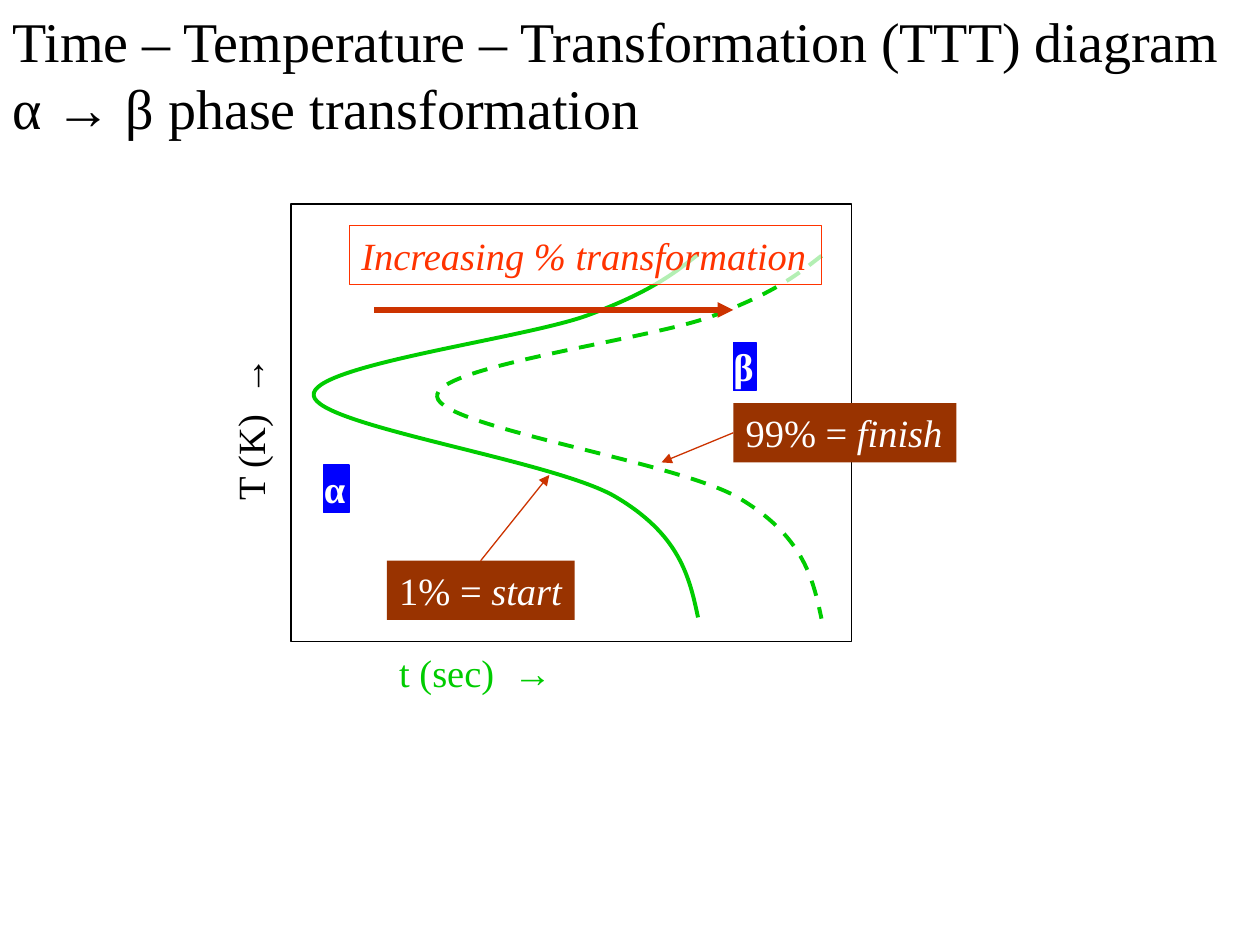
"""Build a slide with a time-temperature-transformation diagram."""
from lxml.etree import SubElement
from pptx import Presentation
from pptx.dml.color import RGBColor
from pptx.enum.dml import MSO_LINE
from pptx.enum.shapes import MSO_CONNECTOR, MSO_SHAPE
from pptx.enum.text import MSO_ANCHOR, MSO_AUTO_SIZE, PP_ALIGN
from pptx.oxml.ns import qn
from pptx.util import Inches, Pt

COLORS = {
    "black": "000000", "white": "FFFFFF", "curve": "00CC00", "callout": "993300",
    "arrow": "CC3300", "trend": "FF3300", "phase": "0000FF",
}
FONT = "Times New Roman"
START_CURVE = [
    (5.54, 2.02),
    (5.36, 2.16), (5.18, 2.31), (4.67, 2.5),
    (4.16, 2.69), (2.45, 2.9), (2.49, 3.14),
    (2.52, 3.38), (4.38, 3.65), (4.88, 3.94),
    (5.39, 4.24), (5.47, 4.57), (5.54, 4.9),
]
FINISH_SHIFT = (0.98, 0.01)


def rgb(name):
    return RGBColor.from_string(COLORS[name])


def set_line(line, color, width):
    line.color.rgb = rgb(color)
    line.width = Pt(width)


def write(shape, runs, color, size=22, bold=None, italic=None, wrap=False, inset=None):
    """Fill a shape with one left-aligned paragraph of (text, italic) runs."""
    frame = shape.text_frame
    frame.word_wrap = wrap
    frame.auto_size = MSO_AUTO_SIZE.SHAPE_TO_FIT_TEXT
    frame.vertical_anchor = MSO_ANCHOR.TOP
    if inset is not None:
        frame.margin_left = frame.margin_right = Inches(inset)
        frame.margin_top = frame.margin_bottom = Inches(inset)
    paragraph = frame.paragraphs[0]
    paragraph.alignment = PP_ALIGN.LEFT
    font = paragraph.font
    font.name, font.size, font.bold, font.italic = FONT, Pt(size), bold, italic
    font.color.rgb = rgb(color)
    for text, slanted in runs:
        run = paragraph.add_run()
        run.text = text
        if slanted:
            run.font.italic = True


def add_label(slide, box, text, color, size=22, rotation=0, wrap=False):
    label = slide.shapes.add_textbox(*map(Inches, box))
    label.rotation = rotation
    write(label, [(text, False)], color, size, wrap=wrap)


def add_box(slide, box, fill, line=None, width=0.75, opacity=None):
    """Add a rectangle, optionally outlined or see-through."""
    rect = slide.shapes.add_shape(MSO_SHAPE.RECTANGLE, *map(Inches, box))
    rect.shadow.inherit = False
    rect.fill.solid()
    rect.fill.fore_color.rgb = rgb(fill)
    if opacity is not None:
        fill_color = rect.element.spPr.find(qn("a:solidFill"))[0]
        SubElement(fill_color, qn("a:alpha"), val=str(opacity * 1000))
    if line:
        set_line(rect.line, line, width)
    else:
        rect.line.fill.background()
    return rect


def add_phase(slide, box, letter):
    phase = add_box(slide, box, "phase", "phase")
    write(phase, [(letter, False)], "white", bold=True, inset=0)


def add_curve(slide, points, dash=None):
    """Draw an open Bezier curve from a start point and triples of controls."""
    start, *controls = [(Inches(x), Inches(y)) for x, y in points]
    builder = slide.shapes.build_freeform(*start)
    builder.add_line_segments(controls, close=False)
    curve = builder.convert_to_shape()
    curve.shadow.inherit = False
    curve.fill.background()
    set_line(curve.line, "curve", 2.25)
    if dash:
        curve.line.dash_style = dash
    outline = next(curve.element.iter(qn("a:path")))
    segments = outline.findall(qn("a:lnTo"))
    for first in range(0, len(segments), 3):
        bezier = SubElement(outline, qn("a:cubicBezTo"))
        for segment in segments[first:first + 3]:
            bezier.append(segment[0])
            outline.remove(segment)


def add_arrow(slide, start, end, width=0.75):
    arrow = slide.shapes.add_connector(
        MSO_CONNECTOR.STRAIGHT, *map(Inches, (*start, *end)))
    set_line(arrow.line, "arrow", width)
    SubElement(arrow.line._get_or_add_ln(), qn("a:tailEnd"), type="triangle")
    SubElement(arrow.element.spPr, qn("a:effectLst"))
    return arrow


def add_callout(slide, box, percent, stage, side, start, target):
    """Add a filled callout and an arrow from one of its sides to a curve."""
    callout = add_box(slide, box, "callout")
    write(callout, [(percent, False), (stage, True)], "white")
    add_arrow(slide, start, target).begin_connect(callout, side)


def main():
    prs = Presentation()
    prs.slide_width, prs.slide_height = Inches(10), Inches(7.5)
    slide = prs.slides.add_slide(prs.slide_layouts[6])

    add_box(slide, (2.31, 1.62, 4.45, 3.47), "white", "black")
    add_label(slide, (3.07, 5.1, 1.41, 0.47), "t (sec)  →", "curve")
    add_label(slide, (1.31, 3.16, 1.35, 0.47), "T (K)  →", "black", rotation=270)

    dx, dy = FINISH_SHIFT
    add_curve(slide, START_CURVE)
    add_curve(slide, [(x + dx, y + dy) for x, y in START_CURVE], MSO_LINE.DASH)

    add_arrow(slide, (2.97, 2.46), (5.82, 2.46), 3)
    trend = add_box(slide, (2.77, 1.79, 3.75, 0.47), "white", "trend", 0.25, opacity=70)
    write(trend, [("Increasing % transformation", False)], "trend", italic=True)

    add_phase(slide, (2.57, 3.69, 0.2, 0.38), "α")
    add_phase(slide, (5.82, 2.72, 0.18, 0.38), "β")
    add_label(
        slide, (0, 0, 10, 1.18),
        "Time – Temperature – Transformation (TTT) diagram α → β phase transformation",
        "black", size=32, wrap=True)

    add_callout(slide, (5.82, 3.2, 1.77, 0.47), "99% = ", "finish",
                1, (5.82, 3.44), (5.25, 3.67))
    add_callout(slide, (3.07, 4.45, 1.49, 0.47), "1% = ", "start",
                0, (3.81, 4.45), (4.36, 3.77))
    prs.save("out.pptx")


if __name__ == "__main__":
    main()
